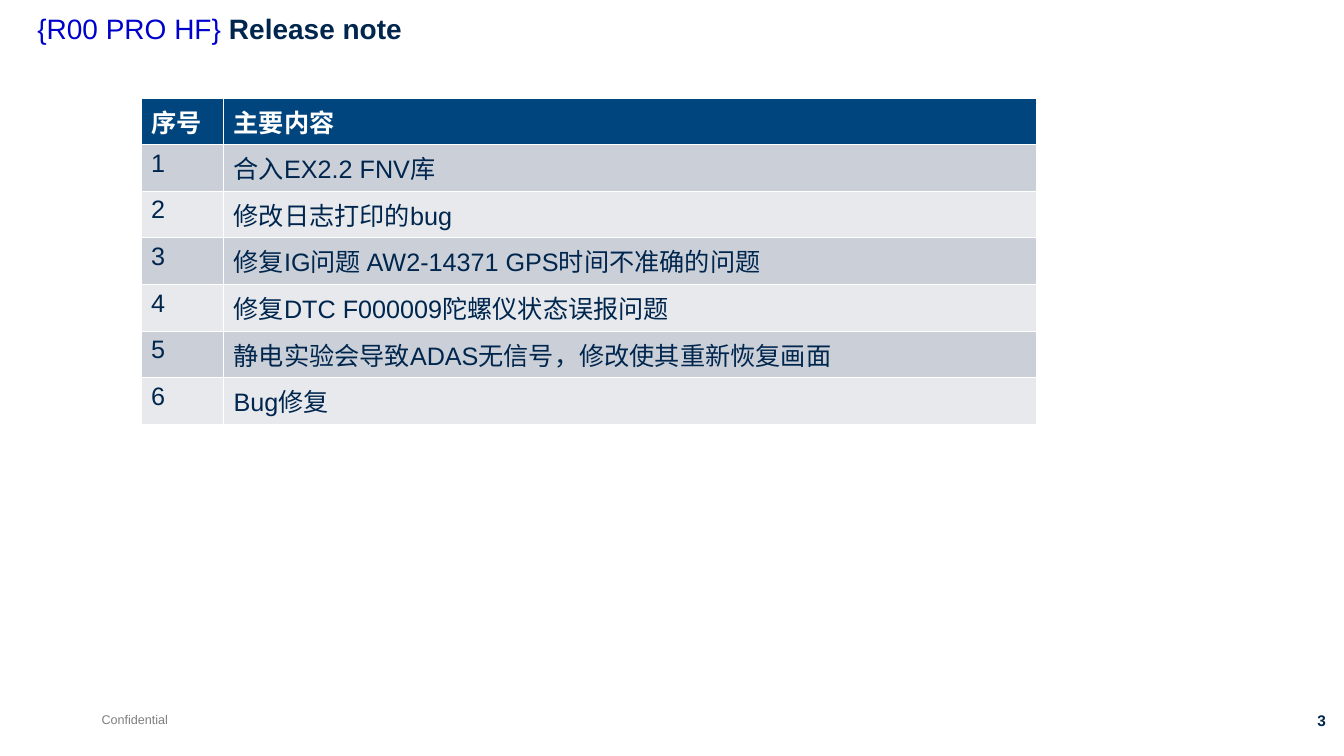
from dataclasses import dataclass

from lxml import etree
from pptx import Presentation
from pptx import util as u
from pptx.dml import color
from pptx.enum import text
from pptx.oxml import ns


@dataclass(frozen=True)
class Theme:
    face: str = "Arial"
    navy: str = "00264E"
    blue: str = "0000CC"
    gray: str = "7F7F7F"
    white: str = "FFFFFF"
    head: str = "00457E"
    bands: tuple = ("CBCFD8", "E7E9EC")
    title: int = 20
    body: int = 18
    foot: int = 9
    page: int = 11
    thin: float = 0.45
    thick: float = 1.47


THEME = Theme()
ROWS = [
    "主要内容",
    "合入EX2.2 FNV库",
    "修改日志打印的bug",
    "修复IG问题 AW2-14371 GPS时间不准确的问题",
    "修复DTC F000009陀螺仪状态误报问题",
    "静电实验会导致ADAS无信号，修改使其重新恢复画面",
    "Bug修复",
]


def apply(item, vals):
    for key, val in vals.items():
        setattr(item, key, val)


def place(item, left, top, width, height):
    vals = dict(left=left, top=top, width=width, height=height)
    apply(item, {key: u.Inches(val) for key, val in vals.items()})


def write(para, words, size, tint, bold=False):
    run = para.add_run()
    run.text = words
    apply(run.font, dict(name=THEME.face, size=u.Pt(size), bold=bold))
    run.font.color.rgb = color.RGBColor.from_string(tint)


def add_title(slide):
    title = slide.shapes.title
    place(title, 0.27, 0.1, 11.85, 0.63)
    frame = title.text_frame
    apply(frame, dict(vertical_anchor=text.MSO_ANCHOR.TOP,
                      auto_size=text.MSO_AUTO_SIZE.NONE, word_wrap=True))
    para = frame.paragraphs[0]
    apply(para, dict(alignment=text.PP_ALIGN.LEFT, line_spacing=0.9,
                     space_before=u.Pt(0)))
    write(para, "{R00 PRO HF} ", THEME.title, THEME.blue)
    write(para, "Release note", THEME.title, THEME.navy, True)


def add_label(slide, words, box, size, tint, bold, align):
    label = slide.shapes.add_textbox(*map(u.Inches, box))
    frame = label.text_frame
    apply(frame, dict(word_wrap=False,
                      auto_size=text.MSO_AUTO_SIZE.SHAPE_TO_FIT_TEXT))
    para = frame.paragraphs[0]
    para.alignment = align
    write(para, words, size, tint, bold)


def add_edges(cell, row):
    props = cell._tc.get_or_add_tcPr()
    widths = dict.fromkeys(("lnL", "lnR", "lnT", "lnB"), THEME.thin)
    if row < 2:
        widths["lnT" if row else "lnB"] = THEME.thick
    for tag, width in widths.items():
        line = etree.SubElement(props, ns.qn("a:" + tag), w=str(u.Pt(width)))
        fill = etree.SubElement(line, ns.qn("a:solidFill"))
        etree.SubElement(fill, ns.qn("a:srgbClr"), val=THEME.white)


def fill_cell(cell, words, row):
    top = row == 0
    add_edges(cell, row)
    cell.fill.solid()
    shade = THEME.head if top else THEME.bands[(row - 1) % 2]
    cell.fill.fore_color.rgb = color.RGBColor.from_string(shade)
    tint = THEME.white if top else THEME.navy
    write(cell.text_frame.paragraphs[0], words, THEME.body, tint, top)


def add_notes(slide):
    box = map(u.Inches, (1.4, 0.97, 8.89, 3.24))
    table = slide.shapes.add_table(len(ROWS), 2, *box).table
    for col, width in zip(table.columns, (0.82, 8.07)):
        col.width = u.Inches(width)
    for row, words in enumerate(ROWS):
        fill_cell(table.cell(row, 0), str(row) if row else "序号", row)
        fill_cell(table.cell(row, 1), words, row)


def main():
    deck = Presentation()
    apply(deck, dict(slide_width=u.Inches(13.34), slide_height=u.Inches(7.5)))
    slide = deck.slides.add_slide(deck.slide_layouts[5])
    add_label(slide, "Confidential", (0.91, 7.01, 0.86, 0.25),
              THEME.foot, THEME.gray, False, text.PP_ALIGN.LEFT)
    add_label(slide, "3", (12.32, 7.01, 0.94, 0.29),
              THEME.page, THEME.navy, True, text.PP_ALIGN.RIGHT)
    add_title(slide)
    add_notes(slide)
    deck.save("out.pptx")


if __name__ == "__main__":
    main()
